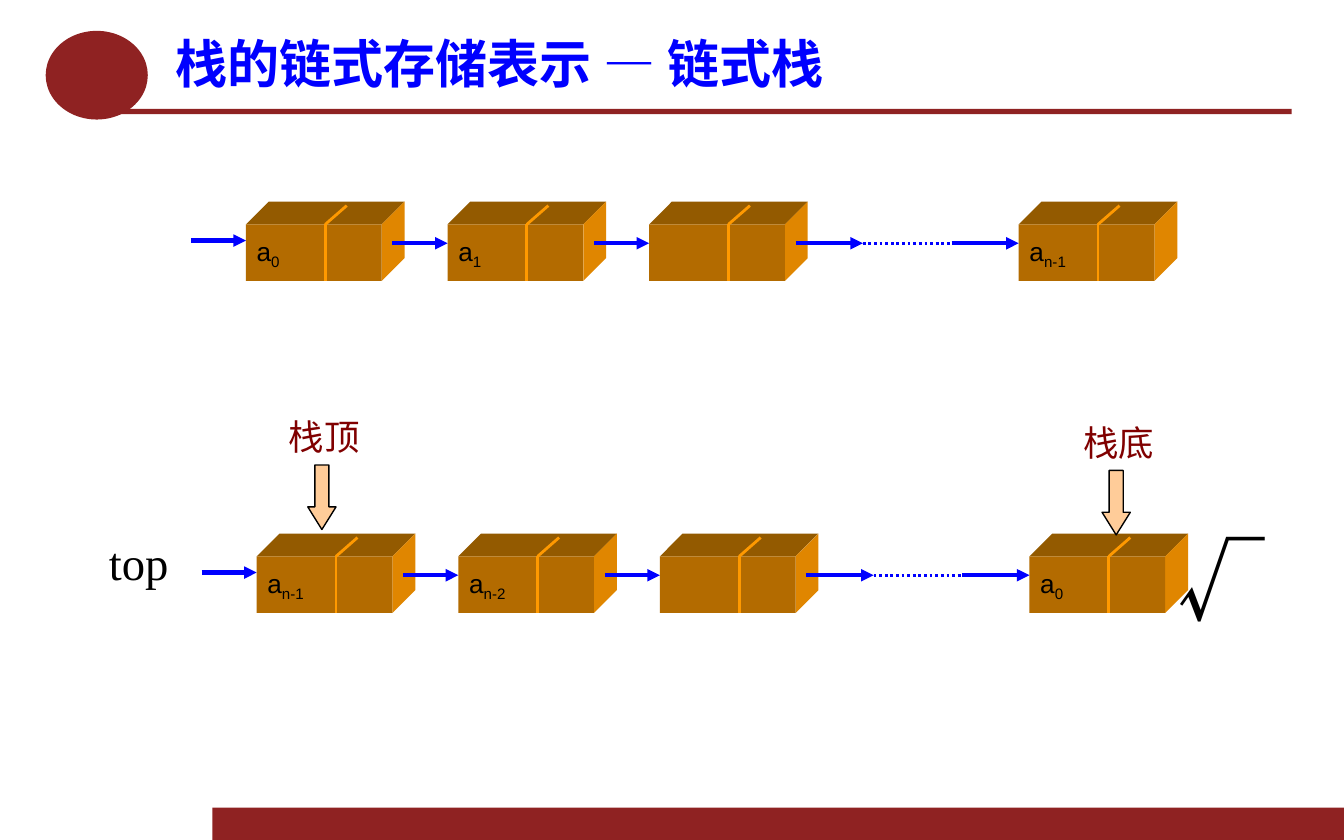
import pptx
import pptx.dml.color
import pptx.enum.dml
import pptx.enum.shapes
import pptx.enum.text
import pptx.oxml.ns
import pptx.util
from lxml import etree

Inches = pptx.util.Inches
Pt = pptx.util.Pt
qn = pptx.oxml.ns.qn
SHAPE = pptx.enum.shapes.MSO_SHAPE
ANCHOR = pptx.enum.text.MSO_ANCHOR


def rgb(value):
    return pptx.dml.color.RGBColor.from_string(value)


class SlideBuilder:
    maroon = "8F2222"
    blue = "0000FF"
    black = "000000"
    label_color = "800000"
    front, top, side, edge = "B36B00", "935A00", "E08600", "FF9900"
    depth = 0.17
    cjk = "Noto Sans CJK SC"
    title_font = "Noto Sans CJK JP"

    def __init__(self, slide):
        self.s = slide

    def paint(self, sp, fill, line=None):
        sp.shadow.inherit = False
        sp.fill.solid()
        sp.fill.fore_color.rgb = rgb(fill)
        if line:
            sp.line.color.rgb = rgb(line)
            sp.line.width = Pt(0.75)
        else:
            sp.line.fill.background()

    def shape(self, kind, x, y, w, h, fill, line=None):
        sp = self.s.shapes.add_shape(kind, Inches(x), Inches(y), Inches(w), Inches(h))
        self.paint(sp, fill, line)
        return sp

    def polygon(self, points, fill):
        pts = [(Inches(x), Inches(y)) for x, y in points]
        fb = self.s.shapes.build_freeform(*pts[0])
        fb.add_line_segments(pts[1:], close=True)
        self.paint(fb.convert_to_shape(), fill)

    def line(self, x1, y1, x2, y2, color, width, arrow=False, dotted=False):
        cx = self.s.shapes.add_connector(
            pptx.enum.shapes.MSO_CONNECTOR.STRAIGHT,
            Inches(x1), Inches(y1), Inches(x2), Inches(y2))
        cx.line.color.rgb = rgb(color)
        cx.line.width = Pt(width)
        if dotted:
            cx.line.dash_style = pptx.enum.dml.MSO_LINE.ROUND_DOT
        if arrow:
            etree.SubElement(cx.line._get_or_add_ln(), qn("a:tailEnd"), type="triangle")
        etree.SubElement(cx._element.spPr, qn("a:effectLst"))

    def frame(self, sp, margin_x=0.08, margin_y=0.04, anchor=ANCHOR.TOP, wrap=True):
        tf = sp.text_frame
        tf.margin_left = tf.margin_right = Inches(margin_x)
        tf.margin_top = tf.margin_bottom = Inches(margin_y)
        tf.vertical_anchor = anchor
        tf.word_wrap = wrap
        return tf

    def style(self, p, size, color, font=None, bold=False):
        p.alignment = pptx.enum.text.PP_ALIGN.LEFT
        p.font.size = Pt(size)
        p.font.color.rgb = rgb(color)
        p.font.bold = bold
        if font:
            p.font.name = font

    def run(self, p, text, ea=None):
        r = p.add_run()
        r.text = text
        if ea:
            etree.SubElement(r._r.get_or_add_rPr(), qn("a:ea"), typeface=ea)
        return r

    def text(self, x, y, w, h, text, size, color, font, wrap=False):
        sp = self.s.shapes.add_textbox(Inches(x), Inches(y), Inches(w), Inches(h))
        p = self.frame(sp, wrap=wrap).paragraphs[0]
        self.style(p, size, color, font)
        self.run(p, text, self.cjk)

    def title(self, x, y, w, h, parts):
        sp = self.s.shapes.add_textbox(Inches(x), Inches(y), Inches(w), Inches(h))
        p = self.frame(sp, 0.1, 0.05, ANCHOR.MIDDLE).paragraphs[0]
        self.style(p, 27.9, self.blue, bold=True)
        for text, font in parts:
            self.run(p, text, font).font.name = font

    def node(self, x, y, index):
        w, h, d = 1.01, 0.42, self.depth
        right, bottom = x + w, y + h
        self.polygon([(x, y), (x + d, y - d), (right + d, y - d), (right, y)], self.top)
        self.polygon([(right, y), (right + d, y - d),
                      (right + d, bottom - d), (right, bottom)], self.side)
        sp = self.shape(SHAPE.RECTANGLE, x, y, w, h, self.front)
        if index:
            p = self.frame(sp, anchor=ANCHOR.MIDDLE).paragraphs[0]
            self.style(p, 14, self.black, "Arial")
            self.run(p, "a")
            self.run(p, index).font._element.set("baseline", "-25000")
        split = x + 0.59
        self.line(split, y, split, bottom, self.edge, 1.5)
        self.line(split, y, split + 0.16, y - 0.14, self.edge, 1.5)

    def chain(self, x, y, indices):
        self.line(x - 0.41, y + 0.12, x, y + 0.12, self.blue, 2.25, arrow=True)
        for dx, index in zip((0, 1.5, 3, 5.75), indices):
            self.node(x + dx, y, index)
        link_y = y + 0.14
        for start, end in ((1.09, 1.5), (2.59, 3), (4.09, 4.59), (5.25, 5.75)):
            self.line(x + start, link_y, x + end, link_y, self.blue, 2.25, arrow=True)
        self.line(x + 4.59, link_y, x + 5.25, link_y, self.blue, 1.5, dotted=True)

    def pointer(self, x, y, label):
        sp = self.shape(SHAPE.DOWN_ARROW, x + 0.22, y + 0.41, 0.21, 0.48,
                        "FFCC99", self.black)
        sp.adjustments[0] = 0.5
        sp.adjustments[1] = 0.8
        self.text(x, y, 0.69, 0.4, label, 19, self.label_color, "Calibri")


def main():
    prs = pptx.Presentation()
    prs.slide_width = Inches(10)
    prs.slide_height = Inches(6.25)
    b = SlideBuilder(prs.slides.add_slide(prs.slide_layouts[6]))

    b.shape(SHAPE.RECTANGLE, 1.58, 6.01, 8.42, 0.24, b.maroon)
    b.shape(SHAPE.RECTANGLE, 0.89, 0.81, 8.72, 0.04, b.maroon)
    b.shape(SHAPE.OVAL, 0.34, 0.23, 0.76, 0.66, b.maroon)
    b.title(1.21, 0.17, 8.39, 0.59, [
        ("栈的链式存储表示 ", b.title_font), ("— ", b.cjk), ("链式栈", b.title_font)])

    b.chain(1.83, 1.67, ("0", "1", None, "n-1"))
    b.text(0.73, 3.93, 0.61, 0.5, "top", 25, b.black, "Times New Roman")
    b.chain(1.91, 4.14, ("n-1", "n-2", None, "0"))
    b.text(8.68, 3.88, 1.24, 0.87, "√", 47, b.black, b.cjk, wrap=True)
    b.pointer(7.98, 3.09, "栈底")
    b.pointer(2.07, 3.05, "栈顶")
    prs.save("out.pptx")


if __name__ == "__main__":
    main()
